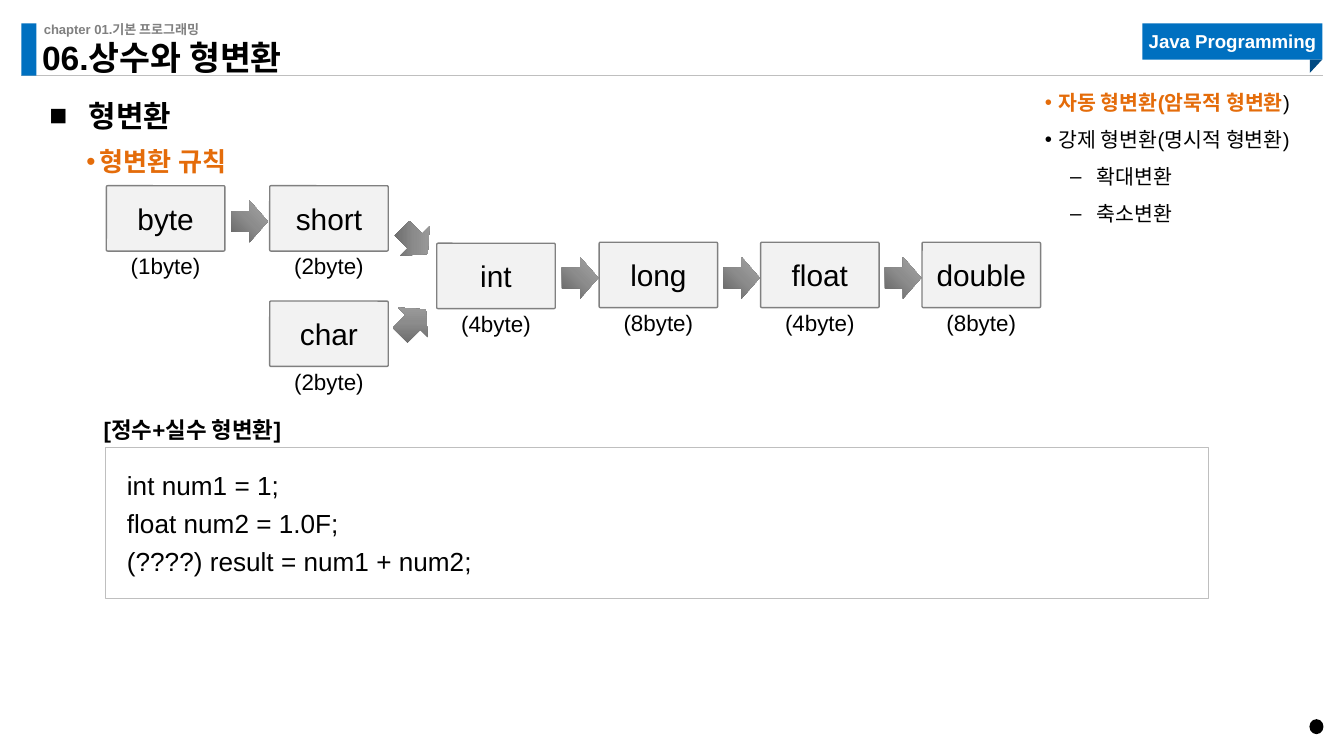
from dataclasses import dataclass

from lxml.etree import SubElement
from pptx import Presentation
from pptx.dml.color import RGBColor
from pptx.enum.shapes import MSO_CONNECTOR, MSO_SHAPE
from pptx.enum.text import MSO_ANCHOR, MSO_AUTO_SIZE, PP_ALIGN
from pptx.oxml import parse_xml
from pptx.oxml.ns import nsdecls, qn
from pptx.util import Pt


@dataclass(frozen=True)
class Theme:
    font: str = "Arial"
    black: str = "000000"
    white: str = "FFFFFF"
    blue: str = "0070C0"
    navy: str = "004A82"
    orange: str = "E46C0A"
    gray: str = "808080"
    rule: str = "BFBFBF"
    panel: str = "F2F2F2"
    arrow: tuple = ((0, "626262"), (50, "8C8C8C"), (100, "A6A6A6"))
    chapter: int = 7
    badge: int = 10
    outline: int = 11
    label: int = 12
    code: int = 14
    heading: int = 16
    title: int = 18


theme = Theme()


def write(shape, lines, size, color=theme.black, bold=False, insets=(0, 0, 0, 0),
          anchor=MSO_ANCHOR.TOP, align=PP_ALIGN.LEFT, spacing=1.0, wrap=True):
    frame = shape.text_frame
    frame_format = dict(zip(("margin_left", "margin_top", "margin_right", "margin_bottom"), map(Pt, insets)))
    frame_format |= {"auto_size": MSO_AUTO_SIZE.NONE, "vertical_anchor": anchor, "word_wrap": wrap}
    for name, value in frame_format.items():
        setattr(frame, name, value)
    for index, (spans, bullet, indent, hanging) in enumerate(lines):
        para = frame.paragraphs[0] if index == 0 else frame.add_paragraph()
        for name, value in {"alignment": align, "line_spacing": spacing, "space_before": Pt(0)}.items():
            setattr(para, name, value)
        if bullet:
            properties = para._p.get_or_add_pPr()
            properties.set("marL", str(Pt(indent)))
            properties.set("indent", str(Pt(-hanging)))
            SubElement(properties, qn("a:buFont"), typeface=theme.font)
            SubElement(properties, qn("a:buChar"), char=bullet)
        for text, changes in spans:
            span = para.add_run()
            span.text = text
            values = {"name": theme.font, "size": Pt(size), "bold": bold, "color": color} | changes
            span.font.color.rgb = RGBColor.from_string(values.pop("color"))
            for name, value in values.items():
                setattr(span.font, name, value)


def draw(kind, left, top, width, height, fill=None, line=None, weight=0.75, rotation=0):
    shape = page.shapes.add_shape(kind, Pt(left), Pt(top), Pt(width), Pt(height))
    shape.shadow.inherit = False
    shape.rotation = rotation
    for part, color in ((shape.fill, fill), (shape.line.fill, line)):
        if color:
            part.solid()
            part.fore_color.rgb = RGBColor.from_string(color)
        else:
            part.background()
    if line:
        shape.line.width = Pt(weight)
    return shape


deck = Presentation()
deck.slide_width, deck.slide_height = Pt(720), Pt(405)
page = deck.slides.add_slide(deck.slide_layouts[1])

rule = page.shapes.add_connector(MSO_CONNECTOR.STRAIGHT, Pt(11.5), Pt(40.5), Pt(708.5), Pt(40.5))
rule.line.color.rgb = RGBColor.from_string(theme.rule)
rule.line.width = Pt(0.5)
SubElement(rule._element.spPr, qn("a:effectLst"))

draw(MSO_SHAPE.RECTANGLE, 11.5, 12.5, 8, 28, theme.blue)
badge = draw(MSO_SHAPE.RECTANGLE, 612, 12.5, 96.5, 19.5, theme.blue)
write(badge, [([("Java Programming", {})], None, 0, 0)], theme.badge, theme.white, True,
      anchor=MSO_ANCHOR.MIDDLE, align=PP_ALIGN.CENTER)
draw(MSO_SHAPE.RIGHT_TRIANGLE, 701.5, 32.25, 7, 6.5, theme.navy, rotation=90)

title, body = page.shapes.title, page.placeholders[1]
for placeholder, bounds in ((title, (22.5, 25, 237.5, 16.5)), (body, (26.5, 42.5, 687, 24))):
    for name, value in zip(("left", "top", "width", "height"), bounds):
        setattr(placeholder, name, Pt(value))
write(title, [([("06.상수와 형변환", {})], None, 0, 0)], theme.title, bold=True,
      anchor=MSO_ANCHOR.BOTTOM, spacing=0.9)
write(body, [([("형변환", {})], "■", 21, 21)], theme.heading, bold=True, spacing=1.5)

list_insets, label_insets = (0, 3.6, 7.2, 3.6), (7.2, 3.6, 7.2, 3.6)
emphasis = {"color": theme.orange, "bold": True}
texts = [
    ((23.5, 11.5, 232.5, 9), [([("chapter 01.기본 프로그래밍", {})], None, 0, 0)],
     theme.chapter, theme.gray, True, (0, 0, 0, 0), 1.0),
    ((24.5, 66, 655, 34), [([("형변환 규칙", {})], "•", 29, 7.2)],
     theme.code, theme.orange, True, list_insets, 1.5),
    ((538, 38, 175, 85), [
        ([("자동 형변환(암묵적 형변환", emphasis), (")", {})], "•", 29, 7.2),
        ([("강제 형변환(명시적 형변환)", {})], "•", 29, 7.2),
        ([("확대변환", {})], "–", 49.7, 14.4),
        ([("축소변환", {})], "–", 49.7, 14.4),
    ], theme.outline, theme.black, False, list_insets, 1.5),
    ((48.5, 219.5, 124, 21.6), [([("[정수+실수 형변환]", {})], None, 0, 0)],
     theme.label, theme.black, True, label_insets, 1.0),
]
for bounds, lines, size, color, bold, insets, spacing in texts:
    box = page.shapes.add_textbox(*map(Pt, bounds))
    write(box, lines, size, color, bold, insets, spacing=spacing)

chain_left, chain_step = 321, 86.5
types = [("byte", 1, 57, 99.5), ("short", 2, 144.5, 99.5), ("char", 2, 144.5, 161.3), ("int", 4, 234, 130.3)]
types += [(name, count, chain_left + chain_step * step, 129.8)
          for step, (name, count) in enumerate((("long", 8), ("float", 4), ("double", 8)))]
for name, count, left, top in types:
    box = draw(MSO_SHAPE.ROUNDED_RECTANGLE, left, top, 63.5, 35, theme.panel, theme.gray)
    box.adjustments[0] = 0.02
    write(box, [([(name, {})], None, 0, 0)], theme.heading,
          anchor=MSO_ANCHOR.MIDDLE, align=PP_ALIGN.CENTER)
    label = page.shapes.add_textbox(Pt(left + 5.5), Pt(top + 32.3), Pt(52.5), Pt(21.6))
    write(label, [([(f"({count}byte)", {})], None, 0, 0)], theme.label,
          insets=label_insets, align=PP_ALIGN.CENTER, wrap=False)

arrows = [(124, 107.5, 0), (212.5, 118, 45), (211.5, 161.5, 315)]
arrows += [(chain_left - 20 + chain_step * step, 137.7, 0) for step in range(3)]
stops = "".join(f'<a:gs pos="{position * 1000}"><a:srgbClr val="{color}"/></a:gs>'
                for position, color in theme.arrow)
for left, top, rotation in arrows:
    arrow = draw(MSO_SHAPE.RIGHT_ARROW, left, top, 19.5, 22.3, rotation=rotation)
    properties = arrow._element.spPr
    gradient = parse_xml(f'<a:gradFill {nsdecls("a")} rotWithShape="1"><a:gsLst>{stops}</a:gsLst>'
                         f'<a:lin ang="{315 * 60000}" scaled="0"/></a:gradFill>')
    properties.replace(properties.find(qn("a:noFill")), gradient)

code = draw(MSO_SHAPE.RECTANGLE, 56.5, 239.8, 591, 80.8, line=theme.rule)
code_lines = ("int num1 = 1;", "float num2 = 1.0F;", "(????) result = num1 + num2;")
write(code, [([(line, {})], None, 0, 0) for line in code_lines], theme.code,
      insets=(11.5, 8.6, 11.5, 20), spacing=1.2)
draw(MSO_SHAPE.OVAL, 702, 385.8, 6.5, 7, theme.black, theme.black, 1)

deck.save("out.pptx")
